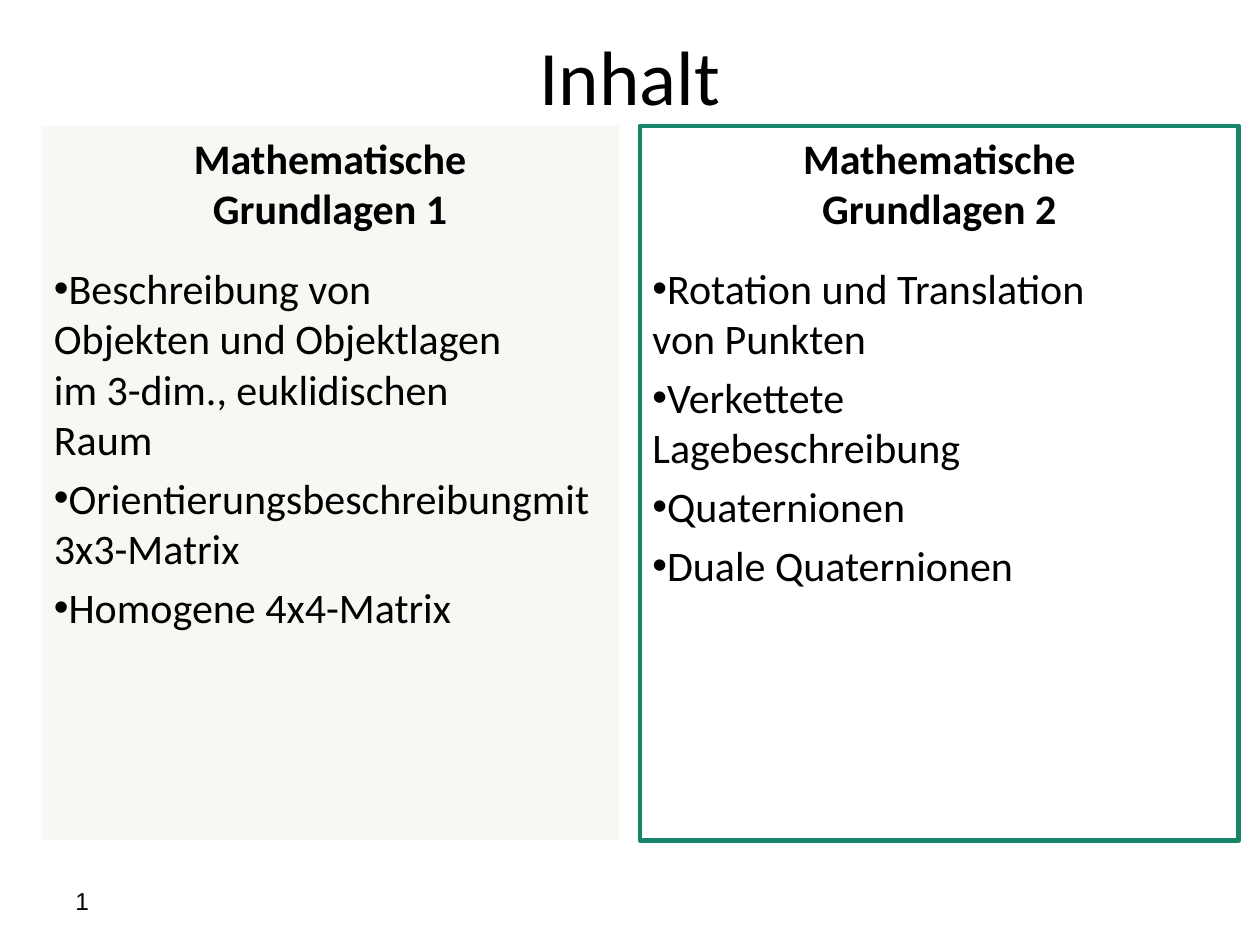
from dataclasses import dataclass

from lxml import etree
from pptx import Presentation
from pptx.dml.color import RGBColor
from pptx.enum.shapes import MSO_SHAPE
from pptx.enum.text import MSO_ANCHOR, PP_ALIGN
from pptx.oxml.ns import qn
from pptx.util import Inches, Pt

RECT = MSO_SHAPE.RECTANGLE
TOP, MIDDLE = MSO_ANCHOR.TOP, MSO_ANCHOR.MIDDLE
LEFT, CENTER = PP_ALIGN.LEFT, PP_ALIGN.CENTER

WIDTH, HEIGHT = 10, 7.5
PANEL_TOP, PANEL_HEIGHT = 1, 5.67
BODY_SIZE = 24
COLORS = {"text": "000000", "sand": "F8F7F3", "green": "18856A"}


@dataclass
class Panel:
    left: float
    width: float
    head: str
    items: list[str]
    fill: str = ""
    line: str = ""


PANELS = [
    Panel(0.33, 4.58, "Mathematische\nGrundlagen 1", [
        "Beschreibung von\nObjekten und Objektlagen\nim 3-dim., euklidischen\nRaum",
        "Orientierungsbeschreibungmit 3x3-Matrix",
        "Homogene 4x4-Matrix",
    ], fill="sand"),
    Panel(5.08, 4.75, "Mathematische\nGrundlagen 2", [
        "Rotation und Translation\nvon Punkten",
        "Verkettete\nLagebeschreibung",
        "Quaternionen",
        "Duale Quaternionen",
    ], line="green"),
]


def color(name: str) -> RGBColor:
    return RGBColor.from_string(COLORS[name])


def write(para, text: str, size: float, font: str = "Calibri",
          bold: bool = False, align=LEFT) -> None:
    para.text = text
    para.alignment = align
    for run in para.runs:
        run.font.size = Pt(size)
        run.font.name = font
        run.font.bold = bold
        run.font.color.rgb = color("text")


def add_bullet(para) -> None:
    props = para._p.get_or_add_pPr()
    etree.SubElement(props, qn("a:buFont")).set("typeface", "Arial")
    etree.SubElement(props, qn("a:buChar")).set("char", "•")


def add_label(slide, box: tuple, text: str, size: float, font: str, align) -> None:
    frame = slide.shapes.add_textbox(*map(Inches, box)).text_frame
    frame.word_wrap = True
    frame.vertical_anchor = MIDDLE
    write(frame.paragraphs[0], text, size, font, align=align)


def add_panel(slide, panel: Panel) -> None:
    box = (panel.left, PANEL_TOP, panel.width, PANEL_HEIGHT)
    shape = slide.shapes.add_shape(RECT, *map(Inches, box))
    shape.shadow.inherit = False
    if panel.fill:
        shape.fill.solid()
        shape.fill.fore_color.rgb = color(panel.fill)
    else:
        shape.fill.background()
    if panel.line:
        shape.line.color.rgb = color(panel.line)
        shape.line.width = Pt(2.75)
    else:
        shape.line.fill.background()

    frame = shape.text_frame
    frame.word_wrap = True
    frame.vertical_anchor = TOP
    head = frame.paragraphs[0]
    write(head, panel.head, BODY_SIZE, bold=True, align=CENTER)
    head.space_after = Pt(12)
    for item in panel.items:
        para = frame.add_paragraph()
        write(para, item, BODY_SIZE)
        add_bullet(para)
    for para in frame.paragraphs:
        para.space_before = Pt(0.2 * BODY_SIZE)


def main() -> None:
    deck = Presentation()
    deck.slide_width, deck.slide_height = Inches(WIDTH), Inches(HEIGHT)
    slide = deck.slides.add_slide(deck.slide_layouts[6])
    margin = 0.05 * WIDTH
    add_label(slide, (margin, -0.03, WIDTH - 2 * margin, 1.25),
              "Inhalt", 44, "Calibri", CENTER)
    for panel in PANELS:
        add_panel(slide, panel)
    add_label(slide, (margin, 6.95, 2.33, 0.4), "1", 14, "Arial", LEFT)
    deck.save("out.pptx")


if __name__ == "__main__":
    main()
